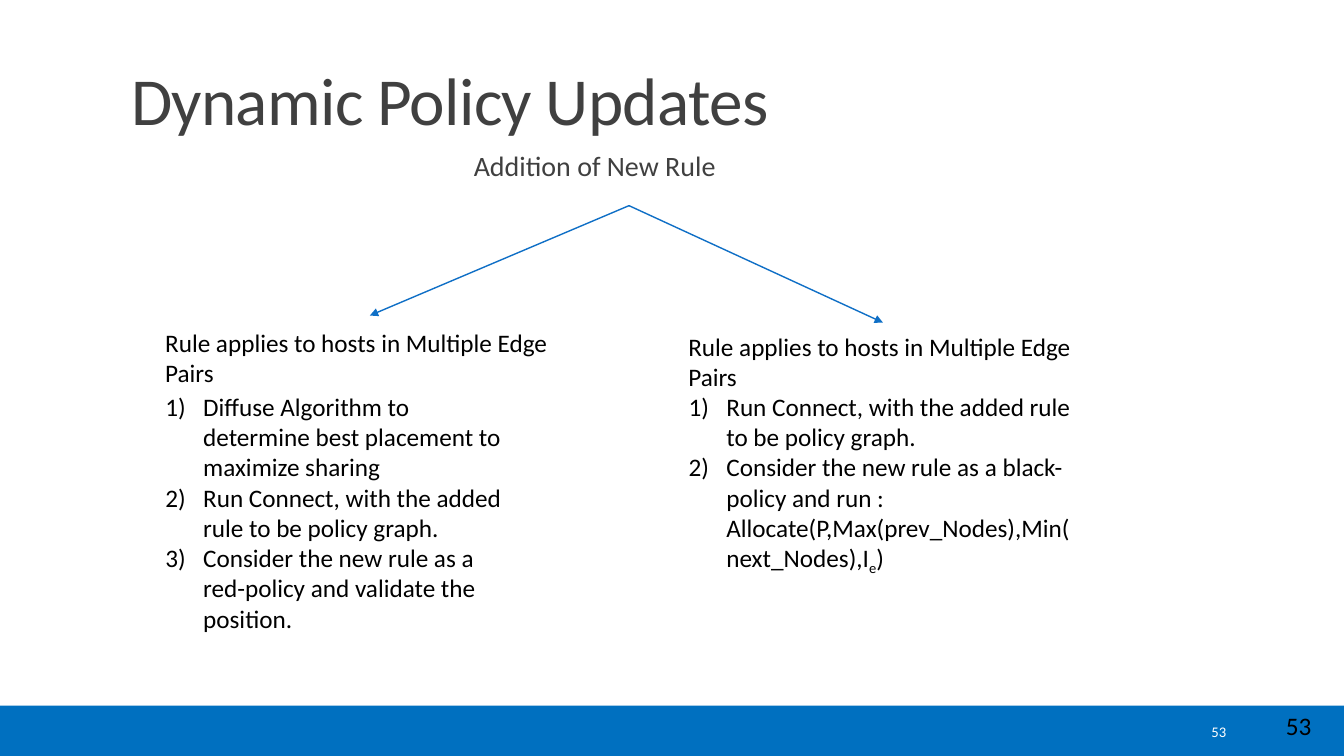
from collections import namedtuple
from dataclasses import dataclass

from pptx import Presentation
from pptx.dml.color import RGBColor
from pptx.enum.shapes import MSO_CONNECTOR, MSO_SHAPE
from pptx.enum.text import MSO_ANCHOR, MSO_AUTO_SIZE, PP_ALIGN
from pptx.oxml.ns import qn
from pptx.util import Pt
from lxml.etree import SubElement

Box = namedtuple("Box", "left top width height")


@dataclass(frozen=True)
class Theme:
    font: str = "Calibri"
    bar: str = "0070C0"
    arrow: str = "0F6FC6"
    heading: str = "404040"
    text: str = "000000"
    light: str = "FFFFFF"
    title_size: float = 48
    subtitle_size: float = 20
    text_size: float = 18
    number_size: float = 10.5


THEME = Theme()
SLIDE = Box(0, 0, 960, 540)
LIST_INDENT = 27
RULE_HEADING = "Rule applies to hosts in Multiple Edge Pairs"


def place(shape, box):
    shape.left, shape.top, shape.width, shape.height = (Pt(length) for length in box)
    return shape


def add_text_box(slide, box):
    return slide.shapes.add_textbox(*(Pt(length) for length in box))


def write_text(shape, paragraphs, size=THEME.text_size, color=THEME.text,
               align=PP_ALIGN.LEFT, anchor=MSO_ANCHOR.TOP, line_spacing=1.0,
               before=0, after=0, side_inset=7.2, tracking=0, numbered=False):
    frame = shape.text_frame
    frame.word_wrap = True
    frame.auto_size = MSO_AUTO_SIZE.NONE
    frame.vertical_anchor = anchor
    frame.margin_left = frame.margin_right = Pt(side_inset)
    frame.margin_top = frame.margin_bottom = Pt(3.6)
    for index, parts in enumerate(paragraphs):
        paragraph = frame.paragraphs[0] if index == 0 else frame.add_paragraph()
        paragraph.alignment = align
        paragraph.line_spacing = line_spacing
        paragraph.space_before, paragraph.space_after = Pt(before), Pt(after)
        properties = paragraph._p.get_or_add_pPr()
        indent = Pt(LIST_INDENT) if numbered else 0
        properties.set("marL", str(indent))
        properties.set("indent", str(-indent))
        if numbered:
            SubElement(properties, qn("a:buFont"), typeface="+mj-lt")
            SubElement(properties, qn("a:buAutoNum"), type="arabicParenR")
        else:
            SubElement(properties, qn("a:buNone"))
        for text, baseline in [(parts, 0)] if isinstance(parts, str) else parts:
            run = paragraph.add_run()
            run.text = text
            run.font.name, run.font.size, run.font.bold = THEME.font, Pt(size), False
            run.font.color.rgb = RGBColor.from_string(color)
            run_properties = run._r.get_or_add_rPr()
            if baseline:
                run_properties.set("baseline", str(baseline * 1000))
            if tracking:
                run_properties.set("spc", str(int(tracking * 100)))


def add_footer(slide, box):
    bar = slide.shapes.add_shape(MSO_SHAPE.RECTANGLE, *(Pt(length) for length in box))
    bar.shadow.inherit = False
    bar.fill.solid()
    bar.fill.fore_color.rgb = RGBColor.from_string(THEME.bar)
    bar.line.fill.background()
    corner_number = add_text_box(slide, Box(box.left + 911.5, box.top, 41, 29))
    write_text(corner_number, ["53"])
    slide_number = add_text_box(slide, Box(box.left + 780, box.top + 4.3, 103, 29))
    write_text(slide_number, ["53"], size=THEME.number_size, color=THEME.light,
               align=PP_ALIGN.RIGHT, anchor=MSO_ANCHOR.MIDDLE)


def add_header(title, subtitle, box):
    place(title, Box(box.left, box.top, box.width, 80.6))
    write_text(title, ["Dynamic Policy Updates"], size=THEME.title_size,
               color=THEME.heading, anchor=MSO_ANCHOR.BOTTOM,
               line_spacing=0.85, tracking=-0.5)
    place(subtitle, Box(box.left + 252, box.top + 82.8, 221, 41))
    write_text(subtitle, ["Addition of New Rule"], size=THEME.subtitle_size,
               color=THEME.heading, line_spacing=0.9, before=12, after=2, side_inset=0)


def add_arrow(slide, start, end):
    arrow = slide.shapes.add_connector(
        MSO_CONNECTOR.STRAIGHT, *(Pt(length) for length in start + end))
    arrow.line.color.rgb = RGBColor.from_string(THEME.arrow)
    arrow.line.width = Pt(1)
    SubElement(arrow.line._get_or_add_ln(), qn("a:tailEnd"), type="triangle")
    SubElement(arrow._element.spPr, qn("a:effectLst"))


def add_case(slide, placeholder, box, steps, heading_offset, list_width):
    heading = add_text_box(slide, Box(box.left, box.top + heading_offset, box.width, 50))
    write_text(heading, [RULE_HEADING])
    place(placeholder, Box(box.left, box.top + 45.4, list_width, box.height - 45.4))
    write_text(placeholder, steps, numbered=True)


def main():
    presentation = Presentation()
    presentation.slide_width, presentation.slide_height = Pt(SLIDE.width), Pt(SLIDE.height)
    slide = presentation.slides.add_slide(presentation.slide_layouts.get_by_name("Comparison"))
    holders = {holder.placeholder_format.idx: holder for holder in slide.placeholders}
    spare = holders[3]._element
    spare.getparent().remove(spare)

    add_footer(slide, Box(0, 504, SLIDE.width, 36))
    add_header(holders[0], holders[1], Box(86.4, 22.3, 792, 124))
    for tip in ((264.2, 225.4), (630.7, 230.4)):
        add_arrow(slide, (449.3, 146.9), tip)
    add_case(slide, holders[2], Box(110.9, 230.4, 321.8, 227), [
        "Diffuse Algorithm to determine best placement to maximize sharing",
        "Run Connect, with the added rule to be policy graph.",
        "Consider the new rule as a red-policy and validate the position.",
    ], heading_offset=0, list_width=265.7)
    add_case(slide, holders[4], Box(484.6, 230.4, 321.8, 184), [
        "Run Connect, with the added rule to be policy graph.",
        [("Consider the new rule as a black-policy and run : "
          "Allocate(P,Max(prev_Nodes),Min(next_Nodes),I", 0), ("e", -25), (")", 0)],
    ], heading_offset=2.9, list_width=292.3)
    presentation.save("out.pptx")


if __name__ == "__main__":
    main()
